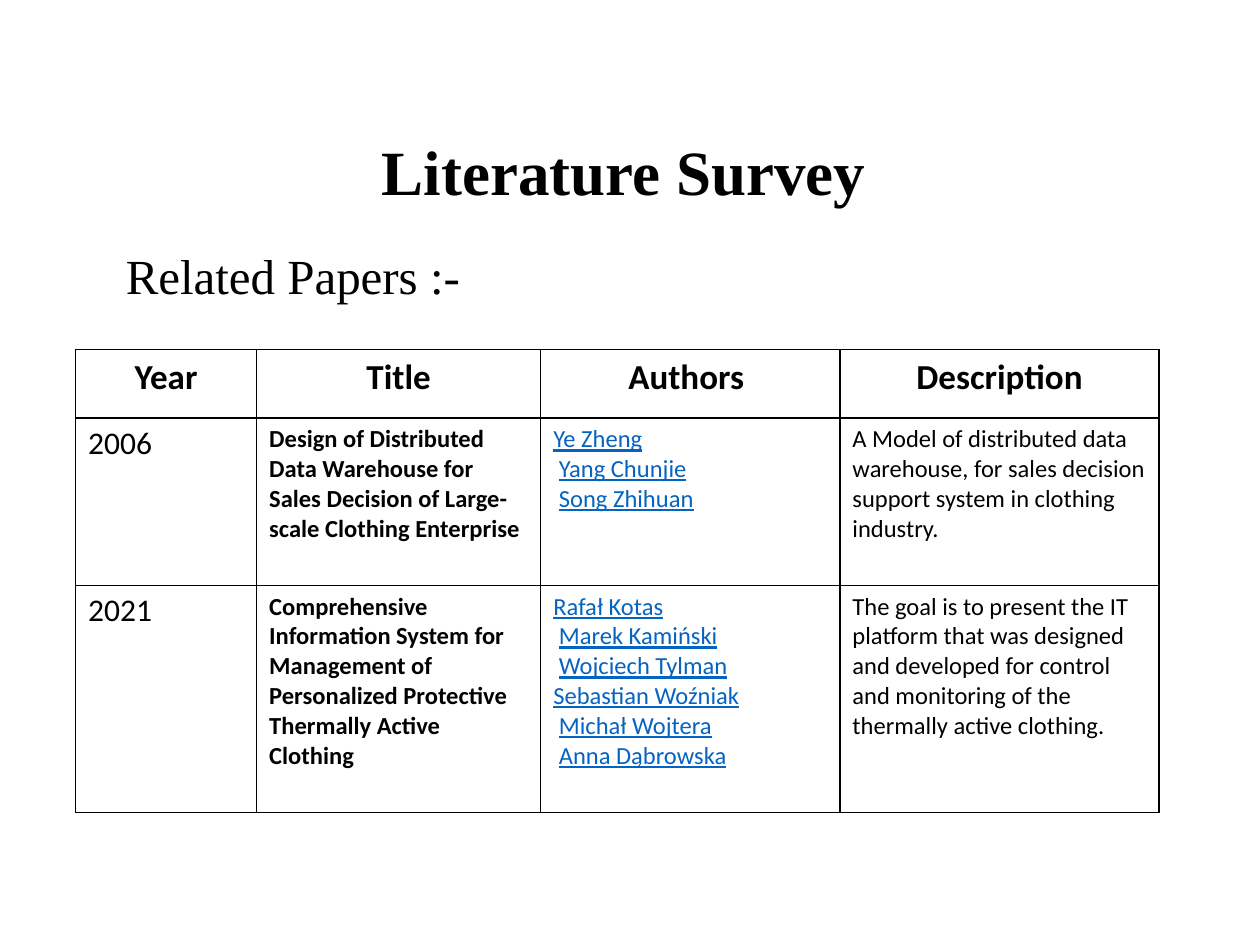
from lxml.etree import SubElement
from pptx import Presentation
from pptx.dml.color import RGBColor
from pptx.enum.text import MSO_ANCHOR, PP_ALIGN
from pptx.oxml.ns import qn
from pptx.util import Inches, Pt

WIDTH, HEIGHT = Inches(10), Inches(7.5)
COLORS = {"ink": "000000", "link": "0563C1"}
HEADING_FONT, TABLE_FONT = "Times New Roman", "Calibri"
COLUMN_SHARES = (1.44, 2.26, 2.38, 2.54)
ROW_SHARES = (0.54, 1.32, 1.79)
HEADERS = ("Year", "Title", "Authors ", "Description")
PAPERS = (
    (
        "2006",
        "Design of Distributed Data Warehouse for Sales Decision of Large-scale Clothing Enterprise",
        ("Ye Zheng", " Yang Chunjie", " Song Zhihuan"),
        "A Model of distributed data warehouse, for sales decision support system in clothing industry.",
    ),
    (
        "2021",
        "Comprehensive Information System for Management of Personalized Protective Thermally Active Clothing",
        ("Rafał Kotas", " Marek Kamiński", " Wojciech Tylman",
         "Sebastian Woźniak", " Michał Wojtera", " Anna Dąbrowska"),
        "The goal is to present the IT platform that was designed and developed for control "
        "and monitoring of the thermally active clothing. ",
    ),
)


def slide_box(left, top, width, height):
    return (int(left * WIDTH), int(top * HEIGHT), int(width * WIDTH), int(height * HEIGHT))


def add_span(para, text, size, font=TABLE_FONT, color="ink", bold=False, underline=False):
    span = para.add_run()
    span.text = text
    span.font.size = Pt(size)
    span.font.name = font
    span.font.bold = bold
    span.font.underline = underline
    span.font.color.rgb = RGBColor.from_string(COLORS[color])


def add_heading(page, box, text, size, bold=False, align=PP_ALIGN.LEFT, anchor=MSO_ANCHOR.TOP):
    frame = page.shapes.add_textbox(*box).text_frame
    frame.word_wrap = True
    frame.vertical_anchor = anchor
    para = frame.paragraphs[0]
    para.alignment = align
    para.line_spacing = 0.9
    add_span(para, text, size, HEADING_FONT, bold=bold)
    return para


def style_cell(cell):
    properties = cell._tc.get_or_add_tcPr()
    for side in ("a:lnL", "a:lnR", "a:lnT", "a:lnB"):
        line = SubElement(properties, qn(side), w=str(Pt(1)))
        fill = SubElement(line, qn("a:solidFill"))
        SubElement(fill, qn("a:srgbClr"), val=COLORS["ink"])
    cell.fill.background()


def fill_authors(cell, names):
    for index, name in enumerate(names):
        frame = cell.text_frame
        para = frame.add_paragraph() if index else frame.paragraphs[0]
        linked = name.lstrip()
        if linked != name:
            add_span(para, name[:-len(linked)], 14)
        add_span(para, linked, 14, color="link", underline=True)


def add_papers_table(page, box):
    left, top, width, height = box
    table = page.shapes.add_table(len(ROW_SHARES), len(COLUMN_SHARES), *box).table
    table.first_row = table.horz_banding = False
    for column, share in zip(table.columns, COLUMN_SHARES):
        column.width = int(width * share / sum(COLUMN_SHARES))
    for row, share in zip(table.rows, ROW_SHARES):
        row.height = int(height * share / sum(ROW_SHARES))
    for cell in table.iter_cells():
        style_cell(cell)
    for index, header in enumerate(HEADERS):
        para = table.cell(0, index).text_frame.paragraphs[0]
        para.alignment = PP_ALIGN.CENTER
        add_span(para, header, 20, bold=True)
    for row, (year, title, authors, description) in enumerate(PAPERS, start=1):
        cells = table.rows[row].cells
        add_span(cells[0].text_frame.paragraphs[0], year, 18)
        add_span(cells[1].text_frame.paragraphs[0], title, 14, bold=True)
        fill_authors(cells[2], authors)
        add_span(cells[3].text_frame.paragraphs[0], description, 14)


def build_survey(page):
    add_heading(page, slide_box(0.25, 0.09, 0.49, 0.19), "Literature Survey", 36,
                bold=True, align=PP_ALIGN.CENTER, anchor=MSO_ANCHOR.MIDDLE)
    subtitle = add_heading(page, slide_box(0.09, 0.26, 0.81, 0.51), "Related Papers :-", 28)
    subtitle.space_before = Pt(10)
    add_papers_table(page, slide_box(0.06, 0.37, 0.86, 0.49))


def main():
    deck = Presentation()
    deck.slide_width, deck.slide_height = WIDTH, HEIGHT
    build_survey(deck.slides.add_slide(deck.slide_layouts[6]))
    deck.save("out.pptx")


if __name__ == "__main__":
    main()
